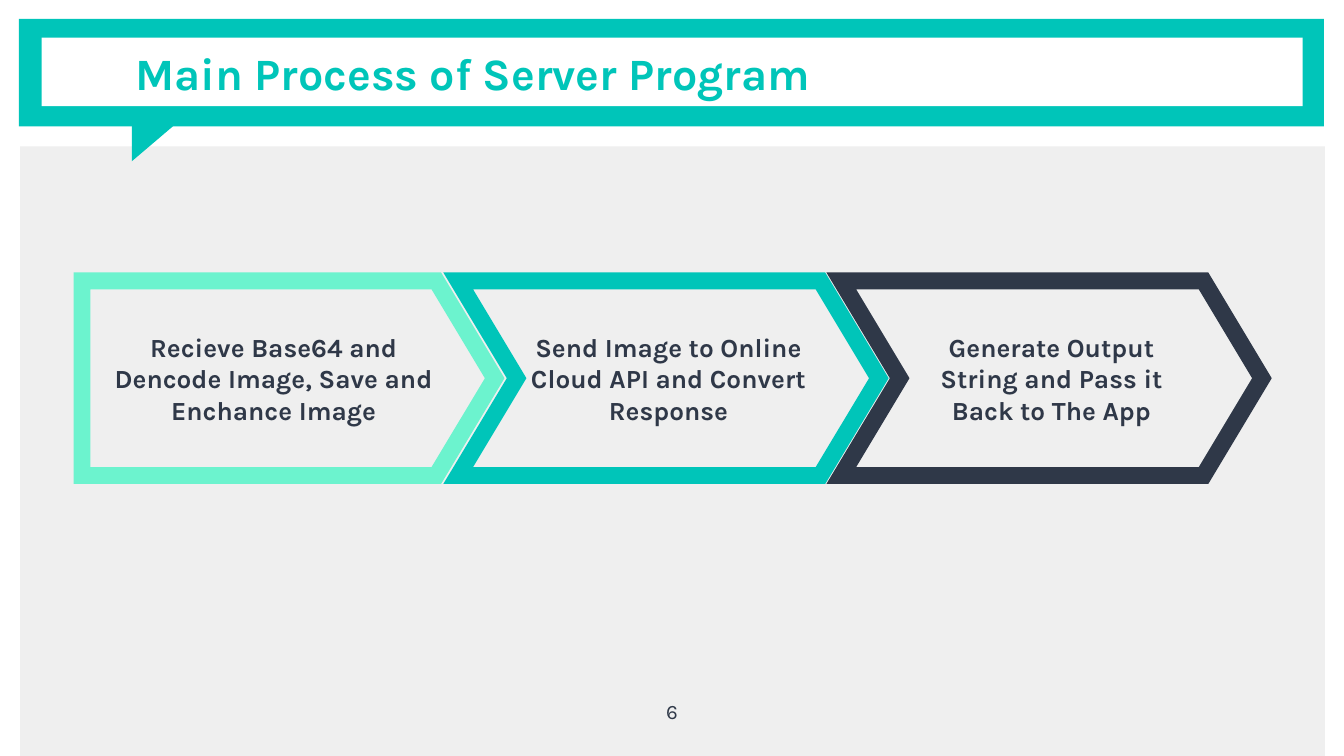
from typing import NamedTuple, Optional

from lxml import etree
from pptx import Presentation
from pptx import util as u
from pptx.dml.color import RGBColor
from pptx.enum import shapes, text
from pptx.oxml import ns

WHITE = RGBColor(0xFF, 0xFF, 0xFF)
GRAY = RGBColor(0xEF, 0xEF, 0xEF)
TEAL = RGBColor(0x00, 0xC5, 0xB9)
MINT = RGBColor(0x6C, 0xF3, 0xCE)
NAVY = RGBColor(0x2F, 0x38, 0x48)

FONT = "Karla"
INSET = u.Cm(0.25)
STEP_TOP, STEP_HEIGHT = 5.31, 3.68
KIND = shapes.MSO_SHAPE
ANCHOR = text.MSO_ANCHOR
ALIGN = text.PP_ALIGN


class Block(NamedTuple):
    kind: shapes.MSO_SHAPE
    left: float
    top: float
    width: float
    height: float
    fill: RGBColor
    rotation: float = 0


class Step(NamedTuple):
    kind: shapes.MSO_SHAPE
    left: float
    width: float
    color: RGBColor
    label: str


BLOCKS = [
    Block(KIND.RECTANGLE, 0.38, 2.77, 24.66, 13.92, GRAY),
    Block(KIND.RECTANGLE, 0.36, 0.36, 24.66, 2.03, TEAL),
    Block(KIND.RIGHT_TRIANGLE, 2.57, 2.06, 0.91, 1.07, TEAL, 90),
    Block(KIND.RECTANGLE, 0.79, 0.71, 23.83, 1.3, WHITE),
]
STEPS = [
    Step(KIND.PENTAGON, 1.55, 7.8, MINT,
         "Recieve Base64 and Dencode Image, Save and Enchance Image"),
    Step(KIND.CHEVRON, 8.66, 7.95, TEAL,
         "Send Image to Online Cloud API and Convert Response"),
    Step(KIND.CHEVRON, 15.9, 7.95, NAVY,
         "Generate Output String and Pass it Back to The App"),
]


def write(s, label: str, size: float, color: RGBColor, bold: bool = True,
          align: Optional[text.PP_ALIGN] = ALIGN.CENTER,
          anchor: text.MSO_ANCHOR = ANCHOR.MIDDLE) -> None:
    tf = s.text_frame
    tf.text = label
    tf.word_wrap = True
    tf.vertical_anchor = anchor
    tf.margin_left = tf.margin_right = tf.margin_top = tf.margin_bottom = INSET
    p = tf.paragraphs[0]
    p.alignment = align
    font = p.runs[0].font
    font.name, font.size, font.bold = FONT, u.Pt(size), bold
    font.color.rgb = color


def add_block(sp, block: Block) -> None:
    s = sp.add_shape(block.kind, u.Cm(block.left), u.Cm(block.top),
                     u.Cm(block.width), u.Cm(block.height))
    s.shadow.inherit = False
    s.fill.solid()
    s.fill.fore_color.rgb = block.fill
    s.line.fill.background()
    s.rotation = block.rotation


def add_step(sp, step: Step) -> None:
    s = sp.add_shape(step.kind, u.Cm(step.left), u.Cm(STEP_TOP),
                     u.Cm(step.width), u.Cm(STEP_HEIGHT))
    s.shadow.inherit = False
    s.adjustments[0] = 0.3
    s.fill.background()
    s.line.color.rgb = step.color
    s.line.width = u.Pt(9)
    # Sharp outline corners
    ln = s.line.color and s._element.spPr.find(ns.qn("a:ln"))
    etree.SubElement(ln, ns.qn("a:miter"), lim="800000")
    write(s, step.label, 14, NAVY)


def main() -> None:
    prs = Presentation()
    prs.slide_width, prs.slide_height = u.Cm(25.4), u.Cm(14.29)
    sp = prs.slides.add_slide(prs.slide_layouts[6]).shapes

    # Panel and speech-bubble header
    for block in BLOCKS:
        add_block(sp, block)

    # Process arrows
    for step in STEPS:
        add_step(sp, step)

    # Title
    title = sp.add_textbox(u.Cm(2.31), u.Cm(0.36), u.Cm(22.1), u.Cm(2.03))
    write(title, "Main Process of Server Program", 24, TEAL, align=ALIGN.LEFT)

    # Page number
    number = sp.add_textbox(u.Cm(11.94), u.Cm(12.98), u.Cm(1.52), u.Cm(1.09))
    write(number, "6", 11, NAVY, bold=False, anchor=ANCHOR.TOP)

    prs.save("out.pptx")


if __name__ == "__main__":
    main()
